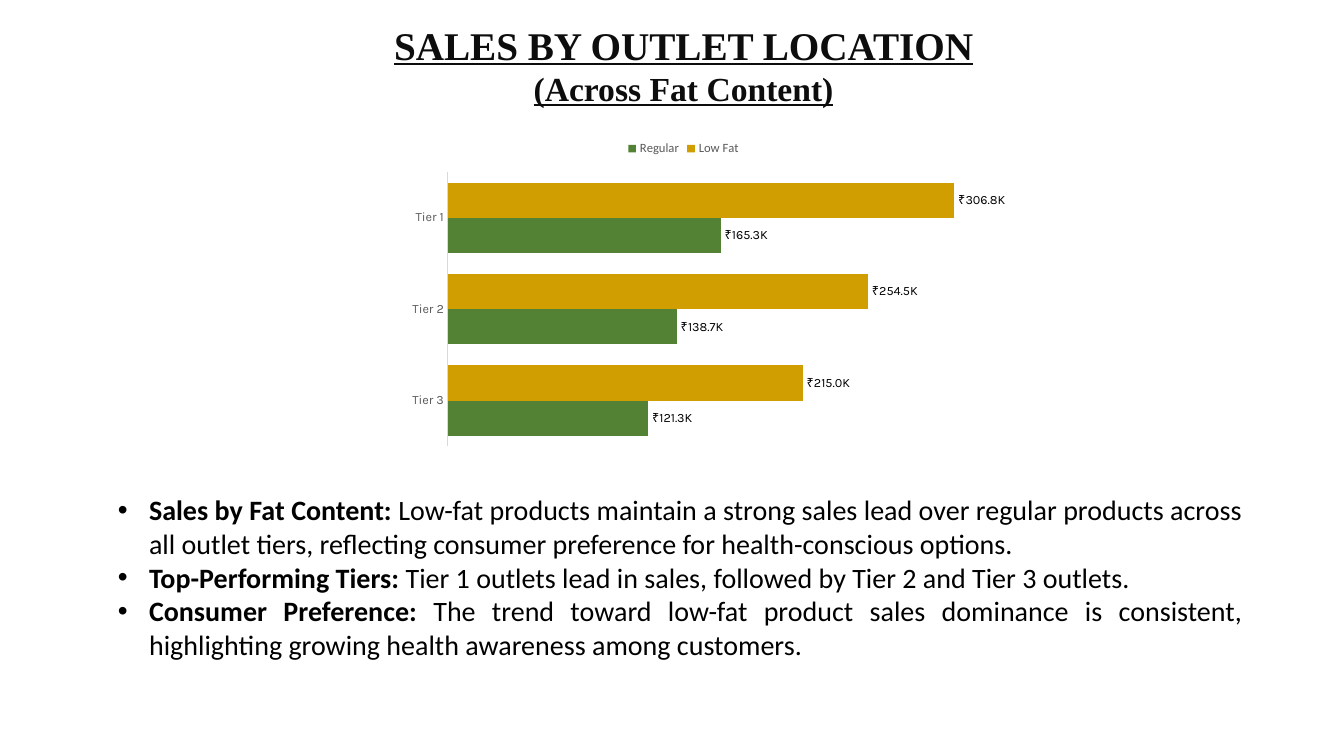
from dataclasses import dataclass
from typing import Any

import lxml.etree
import pptx
import pptx.chart.data
import pptx.dml.color
import pptx.enum.chart
import pptx.enum.text
import pptx.oxml
import pptx.oxml.ns
import pptx.util

Inches = pptx.util.Inches
Pt = pptx.util.Pt
RGBColor = pptx.dml.color.RGBColor
Align = pptx.enum.text.PP_ALIGN

BLACK = RGBColor(0x00, 0x00, 0x00)
TITLE_INK = RGBColor(0x0D, 0x0D, 0x0D)
AXIS_TEXT = RGBColor(0x59, 0x59, 0x59)
AXIS_LINE = RGBColor(0xD9, 0xD9, 0xD9)
GOLD = RGBColor(0xD0, 0x9E, 0x00)
GREEN = RGBColor(0x54, 0x82, 0x35)

RUPEES = '"₹"0.0,"K"'
TIERS = ("Tier 1", "Tier 2", "Tier 3")
PLOT_AREA = {"x": 0.165, "y": 0.123, "w": 0.821, "h": 0.803}


@dataclass(frozen=True)
class FatContent:
    name: str
    sales: tuple[int, ...]
    color: RGBColor


@dataclass(frozen=True)
class Finding:
    heading: str
    detail: str


FAT_CONTENTS = (
    FatContent("Low Fat", (306800, 254500, 215000), GOLD),
    FatContent("Regular", (165300, 138700, 121300), GREEN),
)
FINDINGS = (
    Finding("Sales by Fat Content:",
            " Low-fat products maintain a strong sales lead over regular products across "
            "all outlet tiers, reflecting consumer preference for health-conscious options."),
    Finding("Top-Performing Tiers:",
            " Tier 1 outlets lead in sales, followed by Tier 2 and Tier 3 outlets."),
    Finding("Consumer Preference:",
            " The trend toward low-fat product sales dominance is consistent, "
            "highlighting growing health awareness among customers."),
)


def format_font(font: Any, *, size: float, name: str, color: RGBColor,
                bold: bool = False, underline: bool = False) -> None:
    font.size, font.name = Pt(size), name
    font.bold, font.underline = bold, underline
    font.color.rgb = color


def add_text(paragraph: Any, text: str, **font_format: Any) -> None:
    run = paragraph.add_run()
    run.text = text
    format_font(run.font, **font_format)


def next_paragraph(frame: Any, index: int, alignment: Any) -> Any:
    paragraph = frame.add_paragraph() if index else frame.paragraphs[0]
    paragraph.alignment = alignment
    paragraph.line_spacing = 1.0
    paragraph.space_before = Pt(0)
    return paragraph


def add_bullet(paragraph: Any) -> None:
    properties = paragraph._p.get_or_add_pPr()
    properties.set("marL", str(Inches(0.31)))
    properties.set("indent", str(-Inches(0.31)))
    qn = pptx.oxml.ns.qn
    lxml.etree.SubElement(properties, qn("a:buFont"), typeface="Arial")
    lxml.etree.SubElement(properties, qn("a:buChar"), char="•")


def set_plot_area(chart: Any) -> None:
    plot_area = chart._chartSpace.chart.plotArea
    qn = pptx.oxml.ns.qn
    for old_layout in plot_area.findall(qn("c:layout")):
        plot_area.remove(old_layout)
    layout = pptx.oxml.parse_xml(f"<c:layout {pptx.oxml.ns.nsdecls('c')}/>")
    manual = lxml.etree.SubElement(layout, qn("c:manualLayout"))
    settings = {"layoutTarget": "inner", "xMode": "edge", "yMode": "edge", **PLOT_AREA}
    for tag, value in settings.items():
        lxml.etree.SubElement(manual, qn(f"c:{tag}"), val=str(value))
    plot_area.insert(0, layout)


def add_title(slide: Any) -> None:
    title = slide.shapes.title
    title.left, title.top = Inches(1.07), Inches(0.15)
    title.width, title.height = Inches(11.42), Inches(0.98)
    frame = title.text_frame
    frame.word_wrap = True
    frame.auto_size = pptx.enum.text.MSO_AUTO_SIZE.SHAPE_TO_FIT_TEXT
    frame.vertical_anchor = pptx.enum.text.MSO_ANCHOR.MIDDLE
    lines = (("SALES BY OUTLET LOCATION", 28), ("(Across Fat Content)", 24))
    for index, (line, size) in enumerate(lines):
        add_text(next_paragraph(frame, index, Align.CENTER), line, size=size,
                 name="Times New Roman", color=TITLE_INK, bold=True, underline=True)


def add_sales_chart(slide: Any) -> None:
    sales = pptx.chart.data.CategoryChartData(number_format=RUPEES)
    sales.categories = TIERS
    for fat_content in FAT_CONTENTS:
        sales.add_series(fat_content.name, fat_content.sales)
    chart = slide.shapes.add_chart(
        pptx.enum.chart.XL_CHART_TYPE.BAR_CLUSTERED,
        Inches(3.29), Inches(1.29), Inches(6.98), Inches(3.39), sales).chart
    format_font(chart.font, size=10, name="Calibri", color=BLACK)
    chart.has_title = False
    set_plot_area(chart)

    # Legend
    chart.has_legend = True
    chart.legend.position = pptx.enum.chart.XL_LEGEND_POSITION.TOP
    chart.legend.include_in_layout = False
    format_font(chart.legend.font, size=9, name="Calibri", color=AXIS_TEXT)

    # Axes
    tier_axis, sales_axis = chart.category_axis, chart.value_axis
    tier_axis.reverse_order = True
    tier_axis.has_major_gridlines = False
    tier_axis.major_tick_mark = pptx.enum.chart.XL_TICK_MARK.NONE
    tier_axis.minor_tick_mark = pptx.enum.chart.XL_TICK_MARK.NONE
    tier_axis.format.line.color.rgb = AXIS_LINE
    tier_axis.format.line.width = Pt(0.75)
    format_font(tier_axis.tick_labels.font, size=9, name="Karla", color=AXIS_TEXT)
    sales_axis.visible = False
    sales_axis.has_major_gridlines = False
    sales_axis.minimum_scale, sales_axis.maximum_scale = 0, 350000
    sales_axis.tick_labels.number_format = RUPEES
    sales_axis.tick_labels.number_format_is_linked = False

    # Bars and their labels
    plot = chart.plots[0]
    plot.gap_width, plot.overlap = 60, 0
    plot.vary_by_categories = False
    for series, fat_content in zip(plot.series, FAT_CONTENTS):
        series.format.fill.solid()
        series.format.fill.fore_color.rgb = fat_content.color
        series.invert_if_negative = False
        labels = series.data_labels
        labels.show_value = True
        labels.position = pptx.enum.chart.XL_LABEL_POSITION.OUTSIDE_END
        labels.number_format = RUPEES
        labels.number_format_is_linked = False
        format_font(labels.font, size=9, name="Karla", color=BLACK)


def add_findings(slide: Any) -> None:
    frame = slide.shapes.add_textbox(
        Inches(1.07), Inches(4.84), Inches(11.35), Inches(1.78)).text_frame
    frame.word_wrap = True
    frame.auto_size = pptx.enum.text.MSO_AUTO_SIZE.SHAPE_TO_FIT_TEXT
    for index, finding in enumerate(FINDINGS):
        paragraph = next_paragraph(frame, index, Align.JUSTIFY)
        add_bullet(paragraph)
        for text, bold in ((finding.heading, True), (finding.detail, False)):
            add_text(paragraph, text, size=20, name="Calibri", color=BLACK, bold=bold)


def main() -> None:
    presentation = pptx.Presentation()
    presentation.slide_width, presentation.slide_height = Inches(13.33), Inches(7.5)
    slide = presentation.slides.add_slide(presentation.slide_layouts[5])
    add_title(slide)
    add_sales_chart(slide)
    add_findings(slide)
    presentation.save("out.pptx")


if __name__ == "__main__":
    main()
